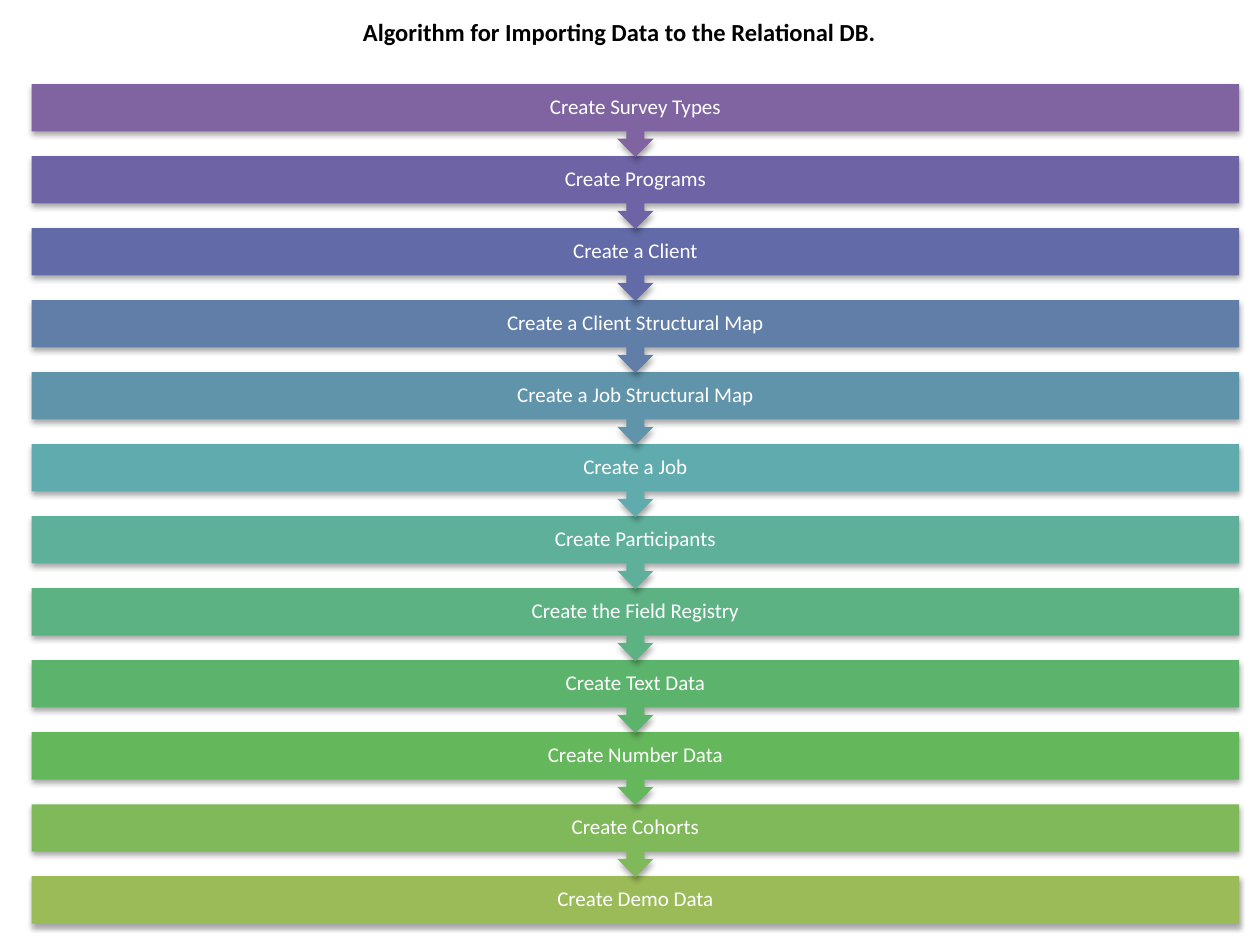
"""Build a slide showing the data import algorithm as a chain of arrow callouts."""
import pptx
import pptx.dml.color
import pptx.enum.shapes
import pptx.enum.text
import pptx.oxml
import pptx.util

Pt = pptx.util.Pt
MIDDLE = pptx.enum.text.MSO_ANCHOR.MIDDLE
CENTER = pptx.enum.text.PP_ALIGN.CENTER
SHAPES = pptx.enum.shapes.MSO_SHAPE
SHADOW = (
    '<a:outerShdw xmlns:a="http://schemas.openxmlformats.org/drawingml/2006/main" '
    'blurRad="40000" dist="23000" dir="5400000" rotWithShape="0">'
    '<a:srgbClr val="000000"><a:alpha val="35000"/></a:srgbClr></a:outerShdw>'
)
STEPS = [
    ("Create Survey Types", "8064A2"),
    ("Create Programs", "6E63A4"),
    ("Create a Client", "626AA7"),
    ("Create a Client Structural Map", "617EA9"),
    ("Create a Job Structural Map", "6094AB"),
    ("Create a Job", "5FABAE"),
    ("Create Participants", "5EB09B"),
    ("Create the Field Registry", "5DB284"),
    ("Create Text Data", "5CB46C"),
    ("Create Number Data", "64B75B"),
    ("Create Cohorts", "7FB95A"),
    ("Create Demo Data", "9BBB59"),
]
LEFT, TOP, WIDTH = 18.1, 48.1, 690
PITCH, CALLOUT_HEIGHT, BAR_HEIGHT = 41.15, 41.6, 27.1


def color(value):
    return pptx.dml.color.RGBColor.from_string(value)


def write_text(shape, text, size, text_color, bold=False):
    frame = shape.text_frame
    frame.text = text
    frame.word_wrap = True
    frame.vertical_anchor = MIDDLE
    paragraph = frame.paragraphs[0]
    paragraph.alignment = CENTER
    font = paragraph.runs[0].font
    font.name = "Calibri"
    font.size = Pt(size)
    font.bold = bold
    font.color.rgb = color(text_color)


presentation = pptx.Presentation()
presentation.slide_width = Pt(720)
presentation.slide_height = Pt(540)
slide = presentation.slides.add_slide(presentation.slide_layouts[0])
subtitle = slide.placeholders[1].element
subtitle.getparent().remove(subtitle)

title = slide.shapes.title
title.left, title.top, title.width, title.height = Pt(48), Pt(0), Pt(612), Pt(36)
write_text(title, "Algorithm for Importing Data to the Relational DB.", 14, "000000", True)

last = len(STEPS) - 1
for index, (label, fill) in reversed(list(enumerate(STEPS))):
    kind = SHAPES.RECTANGLE if index == last else SHAPES.DOWN_ARROW_CALLOUT
    height = BAR_HEIGHT if index == last else CALLOUT_HEIGHT
    step = slide.shapes.add_shape(
        kind, Pt(LEFT), Pt(TOP + index * PITCH), Pt(WIDTH), Pt(height)
    )
    step.fill.solid()
    step.fill.fore_color.rgb = color(fill)
    step.line.fill.background()
    step.shadow.inherit = False
    effects = step.element.spPr.find(pptx.oxml.ns.qn("a:effectLst"))
    effects.append(pptx.oxml.parse_xml(SHADOW))
    write_text(step, label, 12, "FFFFFF")
    step.text_frame.margin_top = step.text_frame.margin_bottom = Pt(6)
    step.text_frame.paragraphs[0].line_spacing = 0.9

presentation.save("out.pptx")
